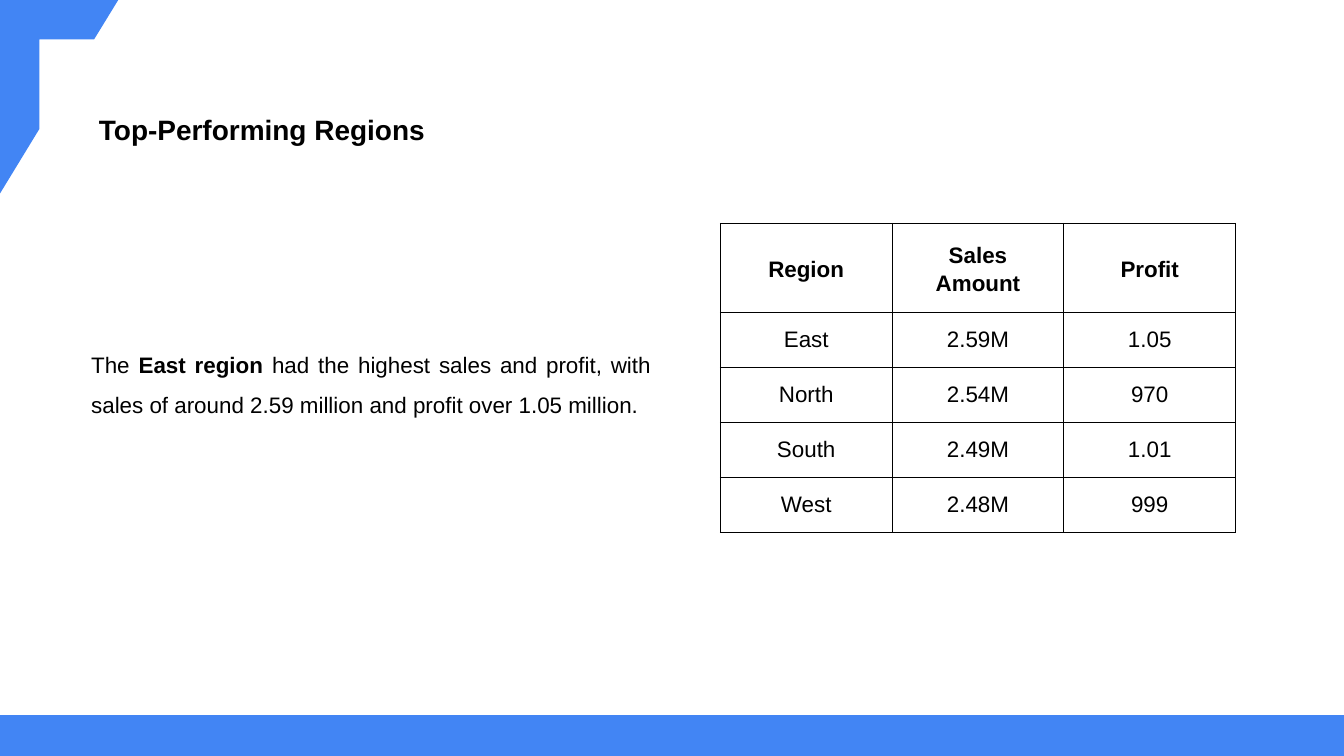
import pptx
import pptx.dml.color
import pptx.enum.shapes
import pptx.enum.text
import pptx.oxml
import pptx.oxml.ns
import pptx.util

COLORS = {"ink": "000000", "accent": "4285F4", "paper": "FFFFFF"}
ALIGN = pptx.enum.text.PP_ALIGN
ANCHOR = pptx.enum.text.MSO_ANCHOR
SHAPE = pptx.enum.shapes.MSO_SHAPE
INSET = pptx.util.Inches(0.1)

prs = pptx.Presentation()
prs.slide_width = pptx.util.Inches(10)
prs.slide_height = prs.slide_width * 9 // 16
s = prs.slides.add_slide(prs.slide_layouts[6])
s.background.fill.solid()
s.background.fill.fore_color.rgb = pptx.dml.color.RGBColor.from_string(COLORS["paper"])


def box(left, top, width, height):
    col, row = prs.slide_width / 100, prs.slide_height / 100
    return [round(v) for v in (left * col, top * row, width * col, height * row)]


def write(tf, runs, size, align, spacing):
    tf.word_wrap = True
    tf.margin_left = tf.margin_right = tf.margin_top = tf.margin_bottom = INSET
    p = tf.paragraphs[0]
    p.alignment = align
    p.line_spacing = spacing
    for text, bold in runs:
        r = p.add_run()
        r.text = text
        r.font.name = "Arial"
        r.font.size = pptx.util.Pt(size)
        r.font.bold = bold
        r.font.color.rgb = pptx.dml.color.RGBColor.from_string(COLORS["ink"])
    return p


body = s.shapes.add_textbox(*box(5.8, 44.6, 43.65, 10.85))
body.text_frame.vertical_anchor = ANCHOR.MIDDLE
write(body.text_frame, [
    ("The ", False),
    ("East region", True),
    (" had the highest sales and profit, with sales of around 2.59 million "
     "and profit over 1.05 million.", False),
], 12, ALIGN.JUSTIFY, 1.5)

rows = [
    ("Region", "Sales Amount", "Profit"),
    ("East", "2.59M", "1.05"),
    ("North", "2.54M", "970"),
    ("South", "2.49M", "1.01"),
    ("West", "2.48M", "999"),
]
table_box = box(53.6, 29.55, 32.8, 58.3)
frame = s.shapes.add_table(len(rows), len(rows[0]), *table_box)
table = frame.table
for column in table.columns:
    column.width = box(0, 0, 12.78, 0)[2]
for i, values in enumerate(rows):
    table.rows[i].height = box(0, 0, 0, 7.28 if i else 6.93)[3]
    for j, value in enumerate(values):
        cell = table.cell(i, j)
        cell.vertical_anchor = ANCHOR.MIDDLE
        cell.margin_left = cell.margin_right = INSET
        cell.margin_top = cell.margin_bottom = INSET
        write(cell.text_frame, [(value, i == 0)], 12, ALIGN.CENTER, 1.0 if i else 1.15)
        tc_pr = cell._tc.get_or_add_tcPr()
        for side in ("lnL", "lnR", "lnT", "lnB"):
            tc_pr.append(pptx.oxml.parse_xml(
                f'<a:{side} {pptx.oxml.ns.nsdecls("a")} w="{pptx.util.Pt(0.75)}">'
                f'<a:solidFill><a:srgbClr val="{COLORS["ink"]}"/></a:solidFill>'
                f'</a:{side}>'))
        cell.fill.background()
frame.width, frame.height = table_box[2:]

title = s.shapes.add_textbox(*box(5.8, 10.85, 32.8, 9.6))
p = write(title.text_frame, [(" Top-Performing Regions", True)], 15, ALIGN.LEFT, 1.5)
p.space_before = pptx.util.Pt(12)

for kind, place in (
    (SHAPE.HALF_FRAME, (0, 0, 8.8, 25.6)),
    (SHAPE.FLOWCHART_PROCESS, (0, 94.56, 100, 5.44)),
):
    sp = s.shapes.add_shape(kind, *box(*place))
    sp.shadow.inherit = False
    sp.fill.solid()
    sp.fill.fore_color.rgb = pptx.dml.color.RGBColor.from_string(COLORS["accent"])
    sp.line.fill.background()

prs.save("out.pptx")
